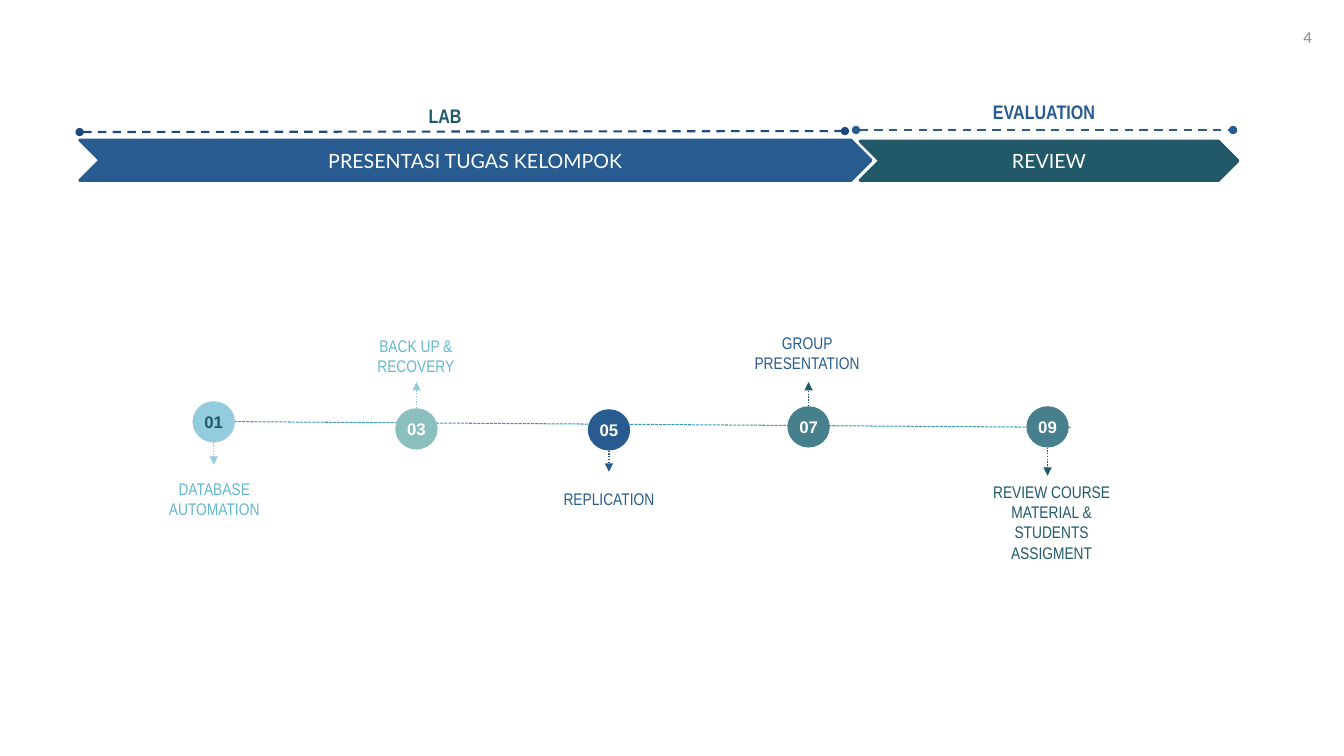
import pptx
import pptx.util
import pptx.dml.color
import pptx.enum.shapes
import pptx.enum.text
import pptx.enum.dml
import pptx.oxml.ns
from lxml import etree

Inches = pptx.util.Inches
Shapes = pptx.enum.shapes.MSO_SHAPE
Align = pptx.enum.text.PP_ALIGN
Anchor = pptx.enum.text.MSO_ANCHOR
Dash = pptx.enum.dml.MSO_LINE

COLORS = {
    "sky": "93CDDD", "aqua": "63B8CF", "mint": "8BBFBE", "teal": "46808C",
    "deep": "215968", "blue": "285C90", "navy": "1F497D", "thread": "399AB5",
    "white": "FFFFFF", "gray": "8C8C8C",
}

deck = pptx.Presentation()
deck.slide_width = Inches(13.33)
deck.slide_height = Inches(7.5)
page = deck.slides.add_slide(deck.slide_layouts[6])


def add_text(text, place, color, font, size=12, bold=False, align=Align.CENTER,
             anchor=Anchor.TOP, shape=None, margins=(0.1, 0.05)):
    box = shape or page.shapes.add_textbox(*map(Inches, place))
    frame = box.text_frame
    frame.word_wrap = True
    frame.vertical_anchor = anchor
    frame.margin_left = frame.margin_right = Inches(margins[0])
    frame.margin_top = frame.margin_bottom = Inches(margins[1])
    para = frame.paragraphs[0]
    para.alignment = align
    span = para.add_run()
    span.text = text
    span.font.name = font
    span.font.size = pptx.util.Pt(size)
    span.font.bold = bold
    span.font.color.rgb = pptx.dml.color.RGBColor.from_string(COLORS[color])


def add_line(start, end, color, width, dash, head=None, tail=None):
    line = page.shapes.add_connector(
        pptx.enum.shapes.MSO_CONNECTOR.STRAIGHT, *map(Inches, start + end))
    line.line.color.rgb = pptx.dml.color.RGBColor.from_string(COLORS[color])
    line.line.width = pptx.util.Pt(width)
    line.line.dash_style = dash
    outline = line.line._get_or_add_ln()
    for tag, kind in (("a:headEnd", head), ("a:tailEnd", tail)):
        if kind:
            etree.SubElement(outline, pptx.oxml.ns.qn(tag), type=kind)
    etree.SubElement(line._element.spPr, pptx.oxml.ns.qn("a:effectLst"))


add_text("4", (10, 0.17, 3.11, 0.4), "gray", "Calibri",
         align=Align.RIGHT, anchor=Anchor.MIDDLE)

phases = [
    ("REVIEW", (8.53, 1.4, 3.75, 0.39), "deep",
     "EVALUATION", (8.91, 0.94, 2.89, 0.34), "blue", (8.49, 1.29), (12.23, 1.29), "blue"),
    ("PRESENTASI TUGAS KELOMPOK", (0.79, 1.39, 7.85, 0.4), "blue",
     "LAB", (1.73, 0.98, 5.37, 0.34), "deep", (0.79, 1.31), (8.38, 1.3), "navy"),
]
for name, place, fill, heading, heading_place, heading_color, start, end, span_color in phases:
    chevron = page.shapes.add_shape(Shapes.CHEVRON, *map(Inches, place))
    chevron.shadow.inherit = False
    rgb = pptx.dml.color.RGBColor.from_string(COLORS[fill])
    chevron.fill.solid()
    chevron.fill.fore_color.rgb = rgb
    chevron.line.color.rgb = rgb
    chevron.line.width = pptx.util.Pt(2)
    add_text(name, None, "white", "Lato", 14, anchor=Anchor.MIDDLE, shape=chevron)
    add_line(start, end, span_color, 1.5, Dash.DASH, "oval", "oval")
    add_text(heading, heading_place, heading_color, "Arial Narrow", 14, True)

add_line((1.91, 4.18), (10.62, 4.24), "thread", 0.75, Dash.SQUARE_DOT)

circle_width, circle_height = 0.42, 0.41
steps = [
    ("01", 1.91, 3.98, "sky", "deep", 4.61, "sky",
     "DATABASE AUTOMATION", (1.4, 4.7, 1.45, 0.5), "aqua"),
    ("03", 3.92, 4.05, "mint", "white", 3.79, "sky",
     "BACK UP & RECOVERY", (3.37, 3.28, 1.51, 0.5), "aqua"),
    ("05", 5.83, 4.06, "blue", "white", 4.68, "blue",
     "REPLICATION", (5.45, 4.8, 1.18, 0.3), "blue"),
    ("07", 7.81, 4.03, "teal", "white", 3.79, "deep",
     "GROUP PRESENTATION", (7.31, 3.25, 1.39, 0.5), "blue"),
    ("09", 10.18, 4.03, "teal", "white", 4.72, "deep",
     "REVIEW COURSE MATERIAL & STUDENTS ASSIGMENT", (9.64, 4.73, 1.58, 0.91), "deep"),
]
for number, left, top, fill, number_color, tip, arrow_color, label, place, label_color in steps:
    circle = page.shapes.add_shape(
        Shapes.OVAL, *map(Inches, (left, top, circle_width, circle_height)))
    circle.shadow.inherit = False
    circle.fill.solid()
    circle.fill.fore_color.rgb = pptx.dml.color.RGBColor.from_string(COLORS[fill])
    circle.line.fill.background()
    add_text(number, None, number_color, "Arial", bold=True, anchor=Anchor.MIDDLE,
             shape=circle, margins=(0, 0))
    middle = left + circle_width / 2
    edge = top + circle_height if tip > top else top
    add_line((middle, edge), (middle, tip), arrow_color, 1, Dash.ROUND_DOT, tail="triangle")
    add_text(label, place, label_color, "Arial Narrow")

deck.save("out.pptx")
